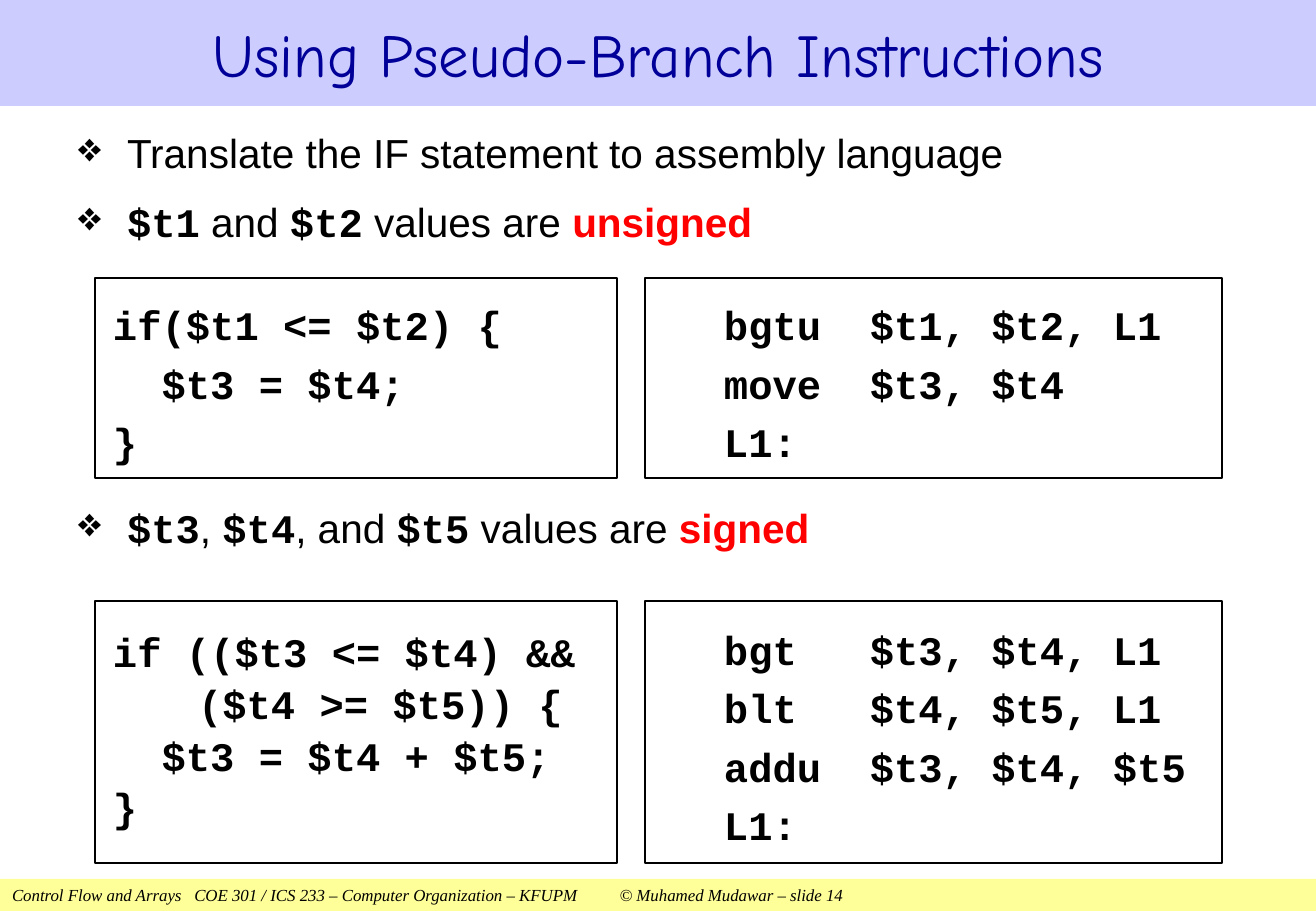
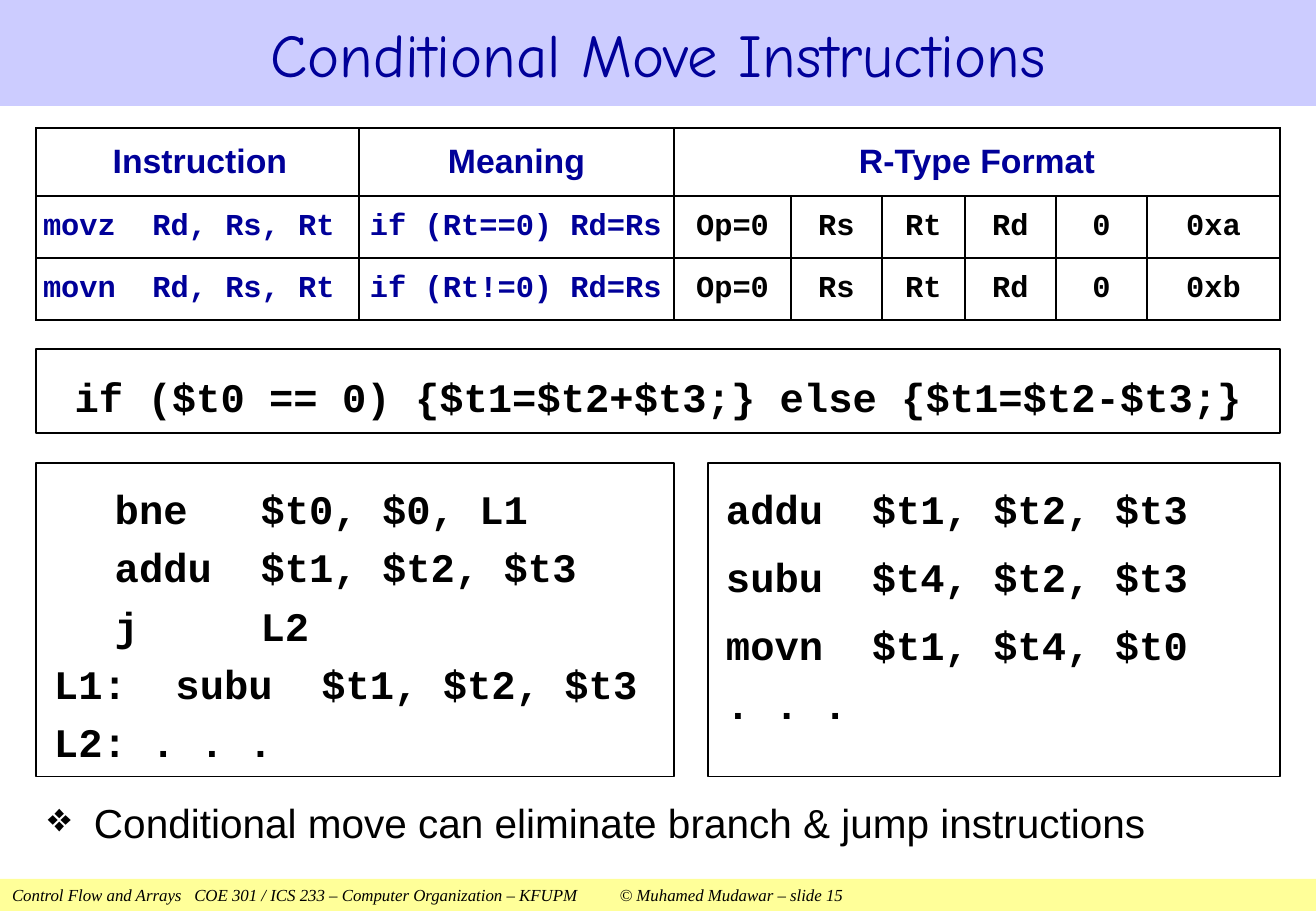
"""Builds two lecture slides on MIPS branch and conditional move instructions."""
from dataclasses import dataclass, replace

from lxml import etree
from pptx import Presentation
from pptx import util as u
from pptx.dml.color import RGBColor
from pptx.enum import shapes, text
from pptx.oxml import ns

SCALE = 914400 / 121.5
LEFT, CENTER = text.PP_ALIGN.LEFT, text.PP_ALIGN.CENTER


def px(n):
    return u.Emu(round(n * SCALE))


def sub(parent, tag, **attrs):
    return etree.SubElement(parent, ns.qn(tag), {k: str(v) for k, v in attrs.items()})


@dataclass(frozen=True)
class Type:
    font: str
    size: int
    color: str = "000000"
    bold: bool = False
    italic: bool = False


@dataclass(frozen=True)
class Theme:
    title_fill: str = "CCCCFF"
    footer_fill: str = "FFFF99"
    line: str = "000000"
    title: Type = Type("Comic Neue", 36, "000099")
    footer: Type = Type("Times New Roman", 10, italic=True)
    body: Type = Type("Arial", 24)
    strong: Type = Type("Arial", 24, "FF0000", bold=True)
    code: Type = Type("Courier New", 24, bold=True)
    head: Type = Type("Arial", 20, "000099", bold=True)
    cell: Type = Type("Courier New", 18, bold=True)


class Deck:
    def __init__(self, theme, width, height):
        self.theme = theme
        self.width, self.height = width, height
        self.prs = Presentation()
        self.prs.slide_width, self.prs.slide_height = px(width), px(height)
        self.s = None

    def style(self, r, kind):
        r.font.name, r.font.size = kind.font, u.Pt(kind.size)
        r.font.bold, r.font.italic = kind.bold, kind.italic
        r.font.color.rgb = RGBColor.from_string(kind.color)

    def fill_text(self, tf, lines, kind, align=LEFT, spacing=None, before=0,
                  indent=0, hang=0, bullet=None, tabs=()):
        for i, line in enumerate(lines):
            p = tf.add_paragraph() if i else tf.paragraphs[0]
            p.alignment = align
            p.space_before = u.Pt(before)
            p.line_spacing = spacing[i] if isinstance(spacing, list) else spacing
            pPr = p._p.get_or_add_pPr()
            pPr.set("marL", str(px(indent)))
            pPr.set("indent", str(px(-hang)))
            if bullet:
                sub(pPr, "a:buChar", char=bullet)
            if tabs:
                stops = sub(pPr, "a:tabLst")
                for stop in tabs:
                    sub(stops, "a:tab", pos=px(stop), algn="l")
            for words, run_kind in [(line, kind)] if isinstance(line, str) else line:
                r = p.add_run()
                r.text = words
                self.style(r, run_kind)

    def frame(self, tf, insets, anchor=text.MSO_ANCHOR.MIDDLE):
        tf.word_wrap = True
        tf.vertical_anchor = anchor
        tf.margin_left, tf.margin_top, tf.margin_right, tf.margin_bottom = map(px, insets)
        return tf

    def rect(self, x, y, w, h, fill=None, line=None, insets=(12, 6, 12, 6)):
        sp = self.s.shapes.add_shape(shapes.MSO_SHAPE.RECTANGLE, px(x), px(y), px(w), px(h))
        sp.shadow.inherit = False
        if fill:
            sp.fill.solid()
            sp.fill.fore_color.rgb = RGBColor.from_string(fill)
        else:
            sp.fill.background()
        if line:
            sp.line.color.rgb = RGBColor.from_string(line)
            sp.line.width = u.Pt(0.75)
        else:
            sp.line.fill.background()
        return self.frame(sp.text_frame, insets)

    def slide(self, title, number):
        self.s = self.prs.slides.add_slide(self.prs.slide_layouts[6])
        t = self.theme
        footer = self.rect(0, 879, self.width, 32, t.footer_fill)
        self.fill_text(footer, ["Control Flow and Arrays\tCOE 301 / ICS 233 – Computer Organization – KFUPM"
                                f"\t© Muhamed Mudawar – slide {number}"], t.footer, tabs=(243, 729))
        self.fill_text(self.rect(0, 0, self.width, 106, t.title_fill), [title], t.title, CENTER)

    def bullets(self, x, y, w, h, lines, hang=49):
        sp = self.s.shapes.add_textbox(px(x), px(y), px(w), px(h))
        tf = self.frame(sp.text_frame, (12, 6, 12, 6), text.MSO_ANCHOR.TOP)
        self.fill_text(tf, lines, self.theme.body, before=12, indent=hang, hang=hang, bullet="❖")

    def code(self, x, y, w, h, lines, right=18, bottom=0, spacing=1.2, **layout):
        tf = self.rect(x, y, w, h, line=self.theme.line, insets=(18, 0, right, bottom))
        self.fill_text(tf, lines, self.theme.code, spacing=spacing, **layout)

    def border(self, cell):
        tcPr = cell._tc.get_or_add_tcPr()
        for i, side in enumerate(("a:lnL", "a:lnR", "a:lnT", "a:lnB")):
            ln = etree.Element(ns.qn(side), w=str(u.Pt(1)))
            sub(sub(ln, "a:solidFill"), "a:srgbClr", val=self.theme.line)
            tcPr.insert(i, ln)

    def table(self, x, y, widths, heights, rows):
        t = self.theme
        tbl = self.s.shapes.add_table(len(rows), len(widths), px(x), px(y),
                                      px(sum(widths)), px(sum(heights))).table
        tbl.first_row = tbl.horz_banding = False
        for col, w in zip(tbl.columns, widths):
            col.width = px(w)
        for row, h in zip(tbl.rows, heights):
            row.height = px(h)
        tbl.cell(0, 2).merge(tbl.cell(0, len(widths) - 1))
        for i, row in enumerate(rows):
            for j in range(len(widths)):
                cell = tbl.cell(i, j)
                cell.fill.background()
                self.border(cell)
                cell.vertical_anchor = text.MSO_ANCHOR.MIDDLE
                cell.margin_left = px(11 if i and j == 1 else 7 if j == 0 else 2)
                cell.margin_right = cell.margin_top = cell.margin_bottom = px(2)
                kind = t.cell if i else t.head
                if j < 2:
                    kind = replace(kind, color=t.head.color)
                if j < len(row):
                    self.fill_text(cell.text_frame, [row[j]], kind, LEFT if i and j < 2 else CENTER)


def pseudo_branch(deck):
    body, code, strong = deck.theme.body, deck.theme.code, deck.theme.strong
    deck.slide("Using Pseudo-Branch Instructions", 14)
    deck.bullets(66, 122, 1185, 140, [
        "Translate the IF statement to assembly language",
        [("$t1", code), (" and ", body), ("$t2", code), (" values are ", body), ("unsigned", strong)],
    ])
    deck.bullets(66, 497, 1185, 70, [
        [("$t3", code), (", ", body), ("$t4", code), (", and ", body), ("$t5", code),
         (" values are ", body), ("signed", strong)],
    ])
    source, assembly = (95, 522), (645, 577)
    upper, lower = (278, 200), (601, 262)
    for (x, w), (y, h), lines, layout in (
        (assembly, upper, ["bgtu  $t1, $t2, L1", "move  $t3, $t4", "L1:"], {"indent": 61}),
        (source, upper, ["if($t1 <= $t2) {", "  $t3 = $t4;", "}"], {}),
        (source, lower, ["if (($t3 <= $t4) &&", "\t ($t4 >= $t5)) {", "  $t3 = $t4 + $t5;", "}"],
         {"spacing": 0.9, "before": 4.8, "tabs": (61,)}),
        (assembly, lower, ["bgt   $t3, $t4, L1", "blt   $t4, $t5, L1", "addu  $t3, $t4, $t5", "L1:"],
         {"indent": 61}),
    ):
        deck.code(x, y, w, h, lines, **layout)


def conditional_move(deck):
    deck.slide("Conditional Move Instructions", 15)
    deck.bullets(36, 792, 1244, 69, ["Conditional move can eliminate branch & jump instructions"], 46)
    moves = [[f"{name}  Rd, Rs, Rt", f"if (Rt{test}0) Rd=Rs", "Op=0", "Rs", "Rt", "Rd", "0", function]
             for name, test, function in (("movz", "==", "0xa"), ("movn", "!=", "0xb"))]
    deck.table(36, 128, [323, 315, 117, 91, 83, 91, 91, 133], [68, 62, 62],
               [["Instruction", "Meaning", "R-Type Format"], *moves])
    deck.code(36, 349, 1244, 84, ["if ($t0 == 0) {$t1=$t2+$t3;} else {$t1=$t2-$t3;}"], align=CENTER)
    deck.code(36, 463, 638, 314, [
        "\tbne   $t0, $0, L1", "\taddu  $t1, $t2, $t3", "\tj     L2",
        "L1:\tsubu  $t1, $t2, $t3", "L2: . . .",
    ], right=0, tabs=(121,))
    deck.code(708, 463, 572, 314, [
        "addu  $t1, $t2, $t3", "subu  $t4, $t2, $t3", "movn  $t1, $t4, $t0", ". . .",
    ], right=0, bottom=48, spacing=[1.4, 1.4, 1.4, 1.2])


deck = Deck(Theme(), 1316, 911)
pseudo_branch(deck)
conditional_move(deck)
deck.prs.save("out.pptx")
